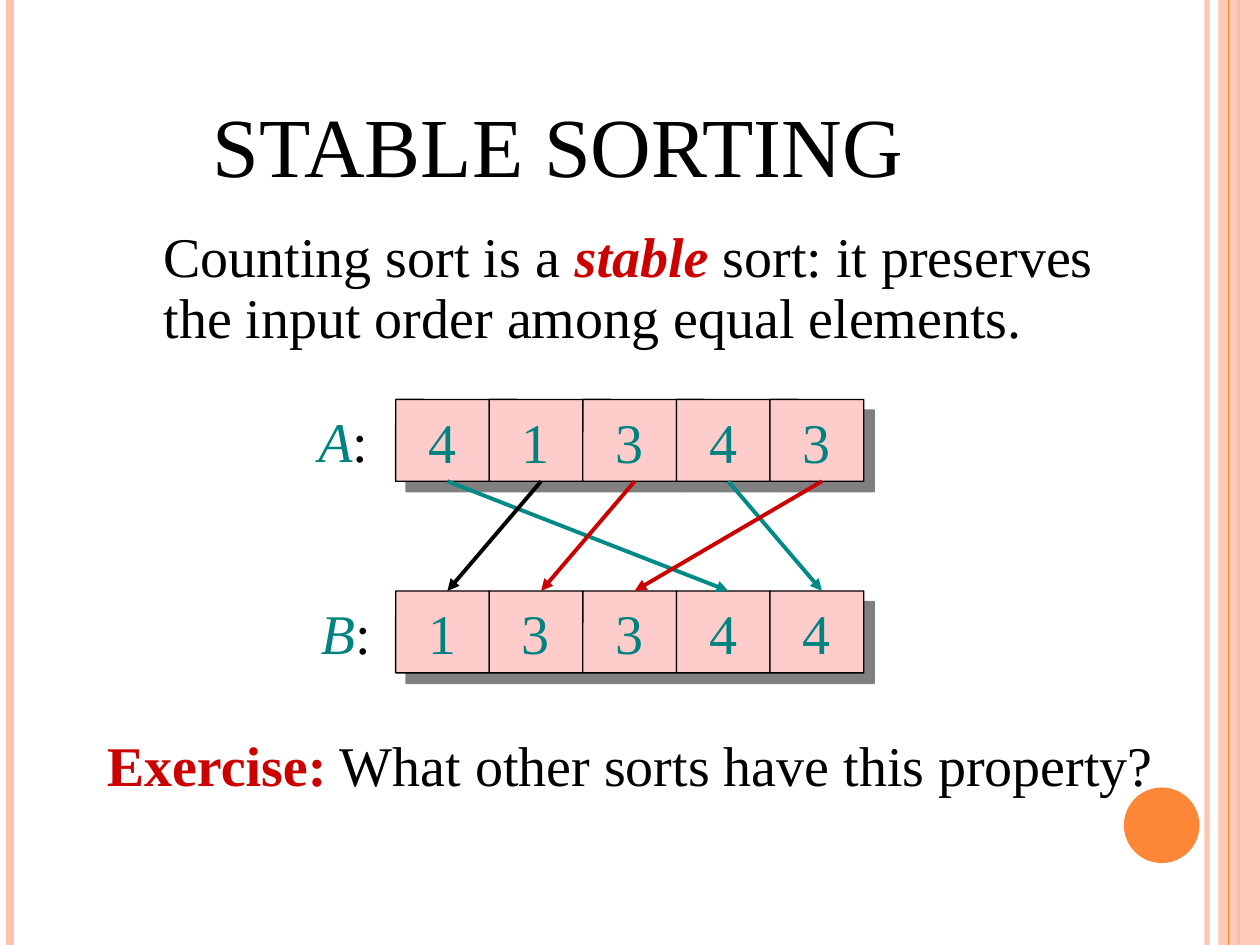
import pptx
import pptx.dml.color
import pptx.enum.shapes
import pptx.enum.text
import pptx.oxml
import pptx.oxml.ns
import pptx.util
from lxml import etree

Inches = pptx.util.Inches
Pt = pptx.util.Pt
RGBColor = pptx.dml.color.RGBColor
Shape = pptx.enum.shapes.MSO_SHAPE
Align = pptx.enum.text.PP_ALIGN
Anchor = pptx.enum.text.MSO_ANCHOR
qn = pptx.oxml.ns.qn

BLACK = RGBColor(0x00, 0x00, 0x00)
RED = RGBColor(0xCC, 0x00, 0x00)
TEAL = RGBColor(0x00, 0x83, 0x80)
ARROW_TEAL = RGBColor(0x00, 0x8A, 0x87)
PINK = RGBColor(0xFF, 0xCC, 0xCC)
PEACH = RGBColor(0xFE, 0xC3, 0xAE)
ORANGE = RGBColor(0xFE, 0x86, 0x37)

CELL_LEFT, CELL_WIDTH, CELL_HEIGHT = 3.14, 0.743, 0.65
TOP_A, TOP_B = 3.17, 4.69
LABEL_WIDTH = 0.62  # wide enough for the letter and its colon on one line
ARROW_SHIFT = 0.04  # arrows sit slightly right of the cell centres

SHADOW = (
    f'<a:effectLst {pptx.oxml.ns.nsdecls("a")}>'
    '<a:outerShdw blurRad="0" dist="107950" dir="2700000" algn="ctr" rotWithShape="0">'
    '<a:srgbClr val="808080"/></a:outerShdw></a:effectLst>'
)


class SlideBuilder:
    font = "Times New Roman"
    size = 32

    def __init__(self, slide):
        self.slide = slide

    def set_alpha(self, fill_parent, percent):
        color = next(fill_parent.iter(qn("a:srgbClr")))
        etree.SubElement(color, qn("a:alpha")).set("val", str(percent * 1000))

    def title(self, wording, left, top, width, height):
        title = self.slide.shapes.title
        title.left, title.top = Inches(left), Inches(top)
        title.width, title.height = Inches(width), Inches(height)
        title.text_frame.text = wording
        title.text_frame.vertical_anchor = Anchor.BOTTOM
        paragraph = title.text_frame.paragraphs[0]
        paragraph.alignment = Align.LEFT
        paragraph.font.name = self.font
        paragraph.font.size = Pt(48)
        paragraph.font.color.rgb = BLACK

    def text(self, runs, left, top, width, height, align=Align.LEFT,
             wrap=False, anchor=Anchor.TOP, spacing=None):
        """Each run is (wording, colour, bold, italic)."""
        box = self.slide.shapes.add_textbox(
            Inches(left), Inches(top), Inches(width), Inches(height))
        frame = box.text_frame
        frame.word_wrap = wrap
        frame.vertical_anchor = anchor
        frame.auto_size = pptx.enum.text.MSO_AUTO_SIZE.SHAPE_TO_FIT_TEXT
        paragraph = frame.paragraphs[0]
        paragraph.alignment = align
        if spacing:
            paragraph.line_spacing = spacing
        paragraph.font.name = self.font
        paragraph.font.size = Pt(self.size)
        for wording, color, bold, italic in runs:
            run = paragraph.add_run()
            run.text = wording
            run.font.color.rgb = color
            run.font.bold = bold
            run.font.italic = italic

    def line(self, x1, y1, x2, y2, color, weight, alpha=None, arrow=False):
        line = self.slide.shapes.add_connector(
            pptx.enum.shapes.MSO_CONNECTOR.STRAIGHT,
            Inches(x1), Inches(y1), Inches(x2), Inches(y2))
        line.line.color.rgb = color
        line.line.width = Pt(weight)
        properties = line._element.spPr
        outline = properties.find(qn("a:ln"))
        if alpha:
            self.set_alpha(outline, alpha)
        if arrow:
            etree.SubElement(outline, qn("a:tailEnd")).set("type", "triangle")
        etree.SubElement(properties, qn("a:effectLst"))

    def shape(self, kind, left, top, width, height, color, alpha=None):
        shape = self.slide.shapes.add_shape(
            kind, Inches(left), Inches(top), Inches(width), Inches(height))
        shape.shadow.inherit = False
        shape.fill.solid()
        shape.fill.fore_color.rgb = color
        shape.line.fill.background()
        if alpha:
            self.set_alpha(shape._element.spPr.find(qn("a:solidFill")), alpha)
        return shape

    def cell(self, digit, left, top):
        cell = self.shape(Shape.ROUNDED_RECTANGLE, left, top,
                          CELL_WIDTH, CELL_HEIGHT, PINK)
        cell.adjustments[0] = 0.003
        cell.line.color.rgb = BLACK
        cell.line.width = Pt(0.75)
        properties = cell._element.spPr
        properties.replace(properties.find(qn("a:effectLst")),
                           pptx.oxml.parse_xml(SHADOW))
        self.text([(digit, TEAL, False, False)], left + 0.16, top + 0.01,
                  0.42, 0.64, align=Align.CENTER, anchor=Anchor.MIDDLE)

    def array(self, name, label_right, digits, top):
        self.text([(name, TEAL, False, True), (":", BLACK, False, False)],
                  label_right - LABEL_WIDTH, top + 0.01, LABEL_WIDTH, 0.64,
                  align=Align.RIGHT)
        for index, digit in enumerate(digits):
            self.cell(digit, CELL_LEFT + index * CELL_WIDTH, top)

    def move(self, source, target, color):
        start, end = (CELL_LEFT + (index + 0.5) * CELL_WIDTH + ARROW_SHIFT
                      for index in (source, target))
        self.line(start, TOP_A + CELL_HEIGHT, end, TOP_B, color, 2.25, arrow=True)


def main():
    deck = pptx.Presentation()
    deck.slide_width, deck.slide_height = Inches(10), Inches(7.5)
    builder = SlideBuilder(deck.slides.add_slide(deck.slide_layouts[5]))

    # Side stripes and corner disc
    builder.line(9.58, 0, 9.58, 7.5, PEACH, 3, alpha=92)
    builder.line(0.08, 0, 0.08, 7.5, PEACH, 4.5)
    builder.line(9.83, 0, 9.83, 7.5, ORANGE, 1.5)
    builder.shape(Shape.RECTANGLE, 9.67, 0, 0.33, 7.5, PEACH, alpha=87)
    builder.line(9.75, 0, 9.75, 7.5, ORANGE, 0.75)
    builder.shape(Shape.OVAL, 8.92, 6.25, 0.6, 0.6, ORANGE)

    # Title and definition
    builder.title("STABLE SORTING", 1.59, 0.34, 8.25, 1.25)
    builder.text([("Counting sort is a ", BLACK, False, False),
                  ("stable", RED, True, True),
                  (" sort: it preserves the input order among equal elements.",
                   BLACK, False, False)],
                 1.2, 1.77, 7.6, 1.06, wrap=True, spacing=0.9)

    # Input and sorted arrays
    builder.array("A", 3.02, "41343", TOP_A)
    builder.array("B", 3.04, "13344", TOP_B)

    # Where each input element ends up
    targets = (3, 0, 1, 4, 2)
    colors = (ARROW_TEAL, BLACK, RED, ARROW_TEAL, RED)
    for source, (target, color) in enumerate(zip(targets, colors)):
        builder.move(source, target, color)

    # Exercise
    builder.text([("Exercise:", RED, True, False),
                  (" What other sorts have this property?", BLACK, False, False)],
                 0.75, 5.75, 8.53, 0.64)

    deck.save("out.pptx")


if __name__ == "__main__":
    main()
